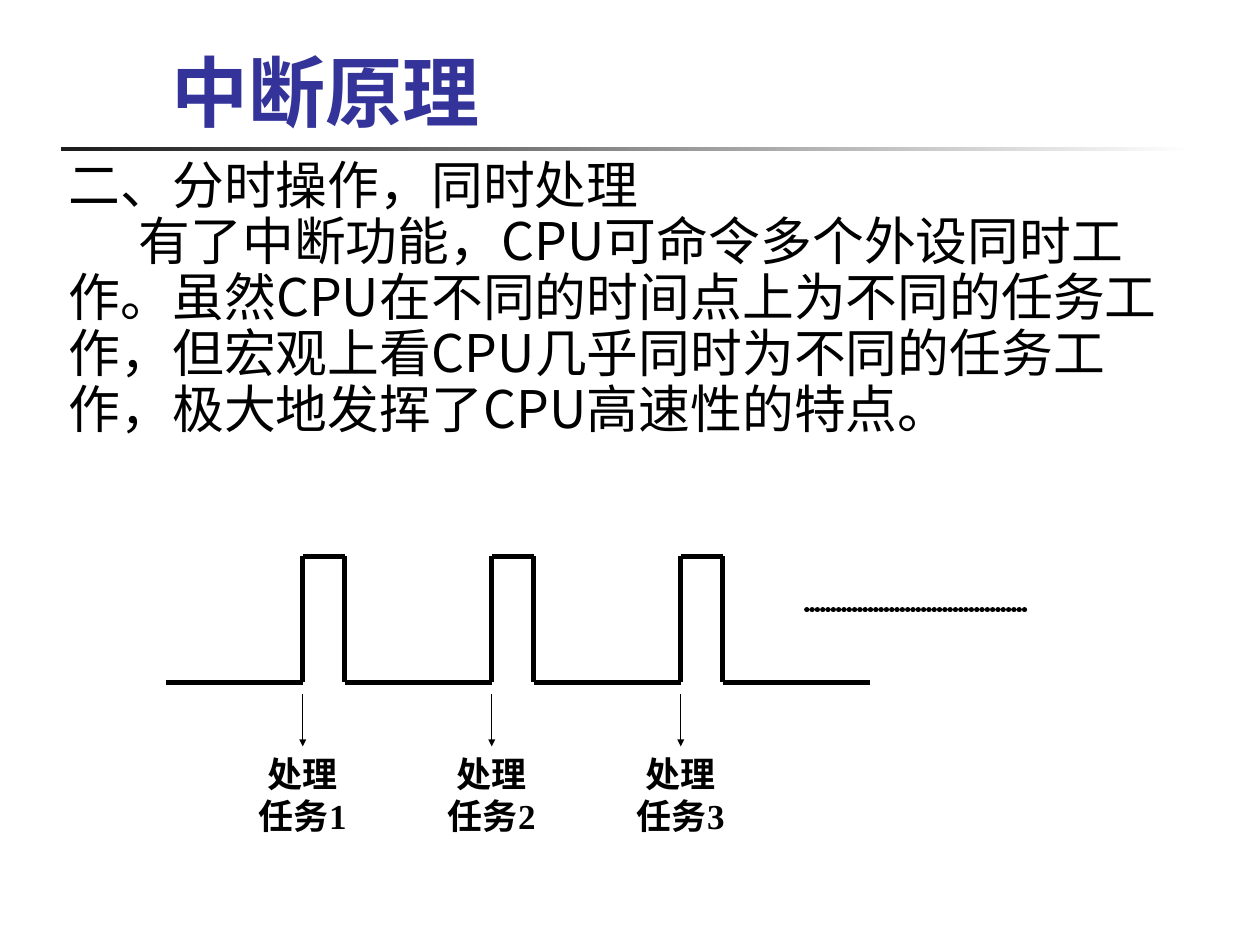
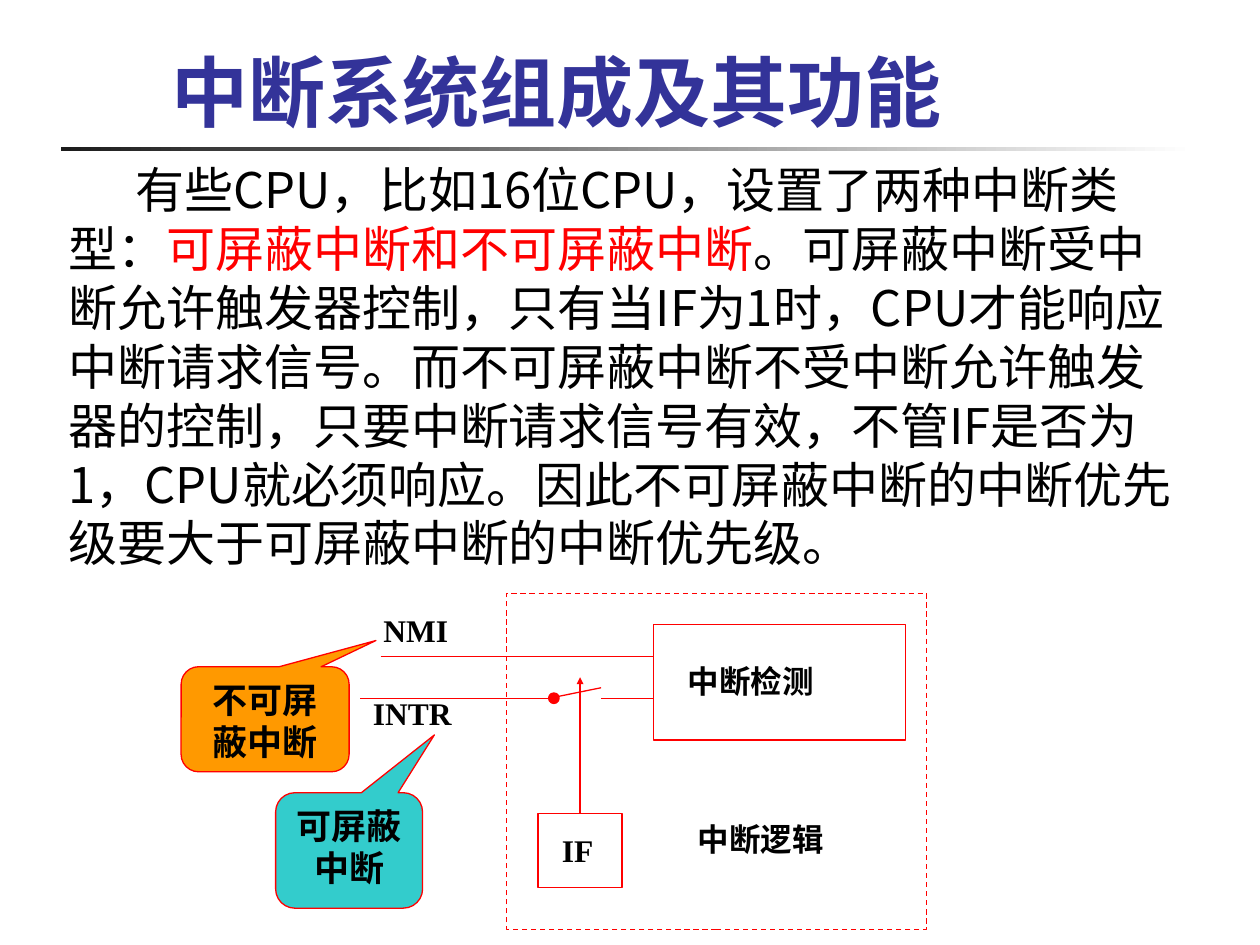
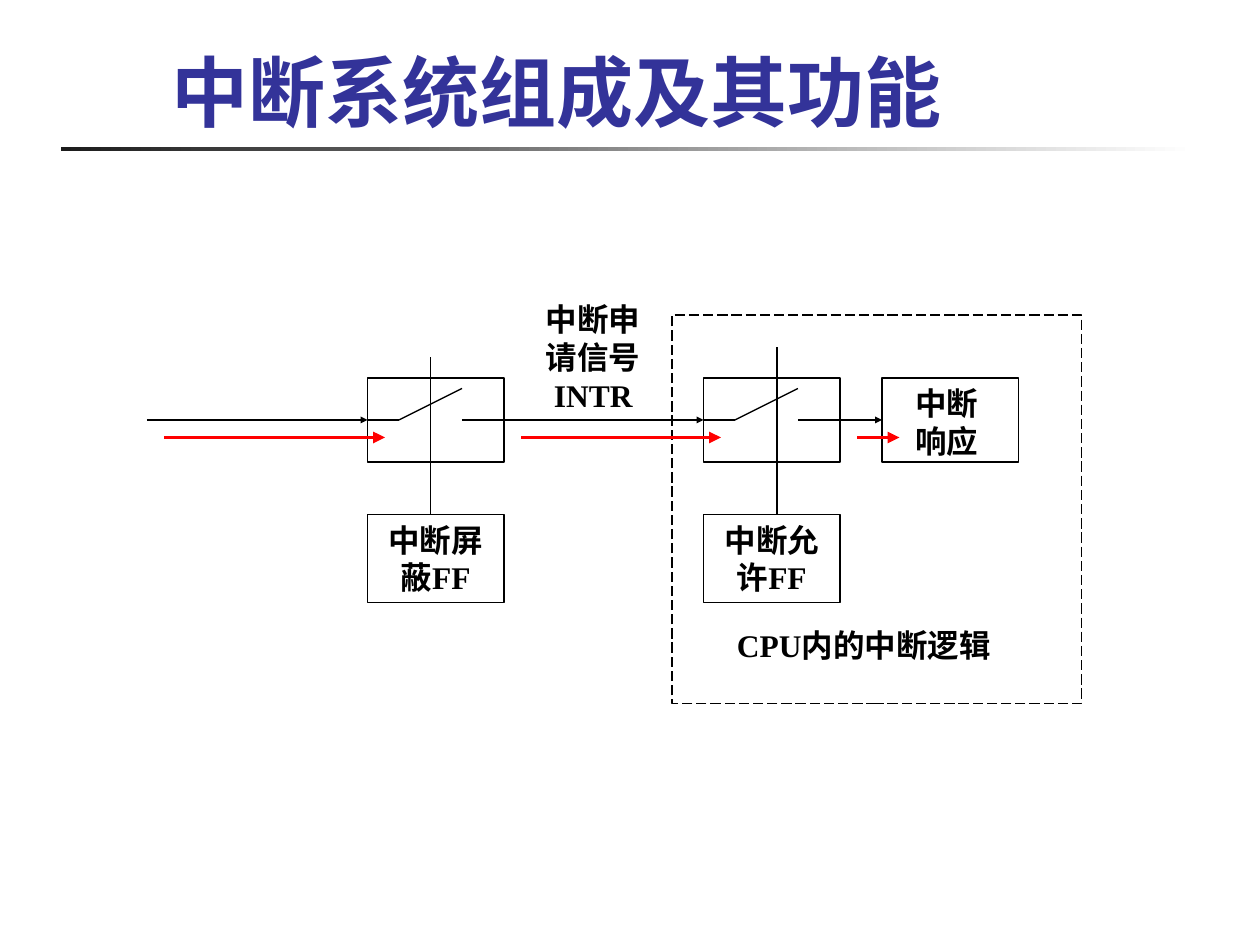
from dataclasses import dataclass
from itertools import pairwise

from lxml import etree
from pptx import Presentation
from pptx import util as u
from pptx.dml.color import RGBColor
from pptx.enum import dml, shapes, text
from pptx.oxml import ns

Pt = u.Pt
SHAPE = shapes.MSO_SHAPE
DASH = dml.MSO_LINE
ALIGN = text.PP_ALIGN


@dataclass(frozen=True)
class Theme:
    ink: str = "000000"
    accent: str = "FF0000"
    title: str = "333399"
    band_start: str = "1C1C1C"
    band_end: str = "FFFFFF"
    orange: str = "FF9900"
    teal: str = "33CCCC"
    heading_font: str = "Noto Sans CJK SC"
    label_font: str = "Times New Roman"
    title_size: float = 44
    list_size: float = 29.6
    body_size: float = 28
    task_size: float = 20
    label_size: float = 18
    thin: float = 0.75
    medium: float = 2.25
    thick: float = 3


THEME = Theme()


def rgb(value):
    return RGBColor.from_string(value)


def write(paragraph, content, *, size, font, color=THEME.ink, bold=False,
          align=ALIGN.LEFT, spacing=None, indent=None, highlight=None):
    """Fill a paragraph; the highlight phrase takes the accent colour."""
    if indent is not None:
        properties = paragraph._p.get_or_add_pPr()
        properties.set("marL", "0")
        properties.set("indent", str(Pt(indent)))
        properties.set("hangingPunct", "0")
        etree.SubElement(properties, ns.qn("a:buNone"))
    paragraph.alignment = align
    paragraph.space_before = Pt(0)
    if spacing is not None:
        paragraph.line_spacing = spacing
    pieces = content.partition(highlight) if highlight else [content]
    for piece in filter(None, pieces):
        run = paragraph.add_run()
        run.text = piece
        run.font.name = font
        run.font.size = Pt(size)
        run.font.bold = bold
        run.font.color.rgb = rgb(THEME.accent if piece == highlight else color)


class Deck:
    """Holds the theme and the slide being drawn."""

    def __init__(self, theme):
        self.theme = theme
        self.presentation = Presentation()
        self.presentation.slide_width = Pt(720)
        self.presentation.slide_height = Pt(540)
        self.slide = None

    def new_slide(self, title, has_body=False):
        layout = self.presentation.slide_layouts[1 if has_body else 5]
        self.slide = self.presentation.slides.add_slide(layout)
        band = self.shape(SHAPE.RECTANGLE, 35, 83.75, 648, 2.5, line=None)
        band.fill.gradient()
        band.fill.gradient_angle = 0
        for stop, color in zip(band.fill.gradient_stops,
                               (self.theme.band_start, self.theme.band_end)):
            stop.color.rgb = rgb(color)
        frame = self.place(self.slide.shapes.title, 91, 16, 551, 72)
        frame.vertical_anchor = text.MSO_ANCHOR.MIDDLE
        write(frame.paragraphs[0], title, size=self.theme.title_size,
              font=self.theme.heading_font, color=self.theme.title, bold=True)

    def place(self, shape, left, top, width, height):
        shape.left, shape.top = Pt(left), Pt(top)
        shape.width, shape.height = Pt(width), Pt(height)
        frame = shape.text_frame
        frame.word_wrap = True
        frame.auto_size = text.MSO_AUTO_SIZE.NONE
        return frame

    def body(self, entries, height, **style):
        """Fill the body placeholder with (text, first-line indent) entries."""
        frame = self.place(self.slide.placeholders[1], 32, 87.75, 656, height)
        for index, (content, indent) in enumerate(entries):
            paragraph = frame.add_paragraph() if index else frame.paragraphs[0]
            write(paragraph, content, indent=indent,
                  font=self.theme.heading_font, **style)

    def shape(self, kind, left, top, width, height, fill=None,
              line=THEME.ink, dash=None):
        shape = self.slide.shapes.add_shape(
            kind, Pt(left), Pt(top), Pt(width), Pt(height))
        shape.shadow.inherit = False
        if fill:
            shape.fill.solid()
            shape.fill.fore_color.rgb = rgb(fill)
        else:
            shape.fill.background()
        if line:
            shape.line.color.rgb = rgb(line)
            shape.line.width = Pt(self.theme.thin)
            shape.line.dash_style = dash
        else:
            shape.line.fill.background()
        return shape

    def caption(self, shape, content, size=THEME.label_size,
                align=ALIGN.CENTER):
        frame = shape.text_frame
        frame.word_wrap = True
        frame.vertical_anchor = text.MSO_ANCHOR.TOP
        write(frame.paragraphs[0], content, size=size, align=align,
              font=self.theme.label_font, bold=True)

    def label(self, content, left, top, width, height=29,
              size=THEME.label_size, align=ALIGN.LEFT):
        box = self.slide.shapes.add_textbox(
            Pt(left), Pt(top), Pt(width), Pt(height))
        self.caption(box, content, size, align)

    def callout(self, content, left, top, width, height, fill, tip):
        shape = self.shape(SHAPE.ROUNDED_RECTANGULAR_CALLOUT, left, top,
                           width, height, fill, self.theme.accent)
        shape.adjustments[0], shape.adjustments[1] = tip
        self.caption(shape, content, self.theme.task_size)

    def line(self, start, end, color=THEME.ink, width=THEME.thin,
             arrow=False, dotted=False):
        connector = self.slide.shapes.add_connector(
            shapes.MSO_CONNECTOR.STRAIGHT, *map(Pt, (*start, *end)))
        connector.line.color.rgb = rgb(color)
        connector.line.width = Pt(width)
        outline = connector.line._ln
        if dotted:
            outline.set("cap", "rnd")
            dashes = etree.SubElement(outline, ns.qn("a:custDash"))
            etree.SubElement(dashes, ns.qn("a:ds"), d="100000", sp="1000")
        if arrow:
            head = "sm" if width == self.theme.thin else "med"
            etree.SubElement(outline, ns.qn("a:tailEnd"), type="triangle",
                             w=head, len=head)
        etree.SubElement(connector._element.spPr, ns.qn("a:effectLst"))


def time_sharing_slide(deck):
    theme = deck.theme
    deck.new_slide("中断原理", has_body=True)
    deck.body([
        ("二、分时操作，同时处理", 0),
        ("有了中断功能，CPU可命令多个外设同时工作。虽然CPU在不同的时间点上"
         "为不同的任务工作，但宏观上看CPU几乎同时为不同的任务工作，"
         "极大地发挥了CPU高速性的特点。", 40),
    ], 207, size=theme.list_size, spacing=0.9)

    # Pulse train
    low, high, pulse = 390, 318, 24
    rises = [173 + 108 * step for step in range(3)]
    wave = [(95, low)]
    for x in rises:
        wave += [(x, low), (x, high), (x + pulse, high), (x + pulse, low)]
    wave.append((497, low))
    for start, end in pairwise(wave):
        deck.line(start, end, width=theme.thick)
    deck.line((461, 348.5), (587, 348.5), width=theme.thick, dotted=True)

    # Task under each pulse
    for number, x in enumerate(rises, 1):
        deck.line((x, 396.5), (x, 426.5), arrow=True)
        deck.label(f"处理任务{number}", x - 36, 426.5, 72, 55.5,
                   theme.task_size, ALIGN.CENTER)


def interrupt_types_slide(deck):
    theme = deck.theme
    red = theme.accent
    deck.new_slide("中断系统组成及其功能", has_body=True)
    deck.body([
        ("有些CPU，比如16位CPU，设置了两种中断类型：可屏蔽中断和不可屏蔽中断。"
         "可屏蔽中断受中断允许触发器控制，只有当IF为1时，CPU才能响应中断请求信号。"
         "而不可屏蔽中断不受中断允许触发器的控制，只要中断请求信号有效，"
         "不管IF是否为1，CPU就必须响应。"
         "因此不可屏蔽中断的中断优先级要大于可屏蔽中断的中断优先级。", 38),
    ], 246, size=theme.body_size, highlight="可屏蔽中断和不可屏蔽中断")

    # Interrupt logic, detector and flag
    deck.shape(SHAPE.RECTANGLE, 289.5, 339, 240, 192, line=red, dash=DASH.DASH)
    deck.shape(SHAPE.RECTANGLE, 373.5, 357, 144, 66, line=red)
    deck.shape(SHAPE.RECTANGLE, 307.5, 465, 48, 42, line=red)

    # Signal lines and switch
    for start, end in (((217.5, 375), (373.5, 375)),
                       ((206, 399), (314, 399)),
                       ((314, 399), (343.5, 393)),
                       ((343.5, 399), (373.5, 399))):
        deck.line(start, end, red)
    deck.line((331.5, 465), (331.5, 387), red, arrow=True)
    deck.shape(SHAPE.OVAL, 313.5, 396, 6, 6, red, red)

    # Names
    for content, left, top, width in (("中断检测", 386, 375, 132),
                                      ("IF", 314, 471.5, 42),
                                      ("中断逻辑", 391.5, 465, 126),
                                      ("INTR", 206, 393, 132),
                                      ("NMI", 212, 345.5, 84)):
        deck.label(content, left, top, width)
    deck.callout("不可屏蔽中断", 103.5, 381, 96, 60, theme.orange,
                 (0.66, -0.75))
    deck.callout("可屏蔽中断", 157.5, 453, 84, 66, theme.teal, (0.58, -1))


def interrupt_path_slide(deck):
    theme = deck.theme
    deck.new_slide("中断系统组成及其功能")
    signal, box_width = 240, 78

    # Switch boxes, each driven by its flip-flop
    for left, control, top, name in ((210, 246, 204, "中断屏蔽FF"),
                                     (402, 444, 198, "中断允许FF")):
        deck.shape(SHAPE.RECTANGLE, left, 216, box_width, 48)
        deck.line((left, signal), (left + 18, signal))
        deck.line((left + 18, signal), (left + 54, signal - 18))
        deck.line((left + 54, signal), (left + box_width, signal))
        flip_flop = deck.shape(SHAPE.RECTANGLE, left, 294, box_width, 50.5)
        deck.caption(flip_flop, name)
        deck.line((control, 294), (control, top))

    # Response box and the processor boundary
    deck.shape(SHAPE.RECTANGLE, 504, 216, box_width, 48)
    deck.shape(SHAPE.RECTANGLE, 384, 180, 234, 222, dash=DASH.LONG_DASH)

    # Signal path, with the flow in red below it
    for start, end in ((84, 210), (288, 402), (480, 504)):
        deck.line((start, signal), (end, signal), arrow=True)
        deck.line((start + 10, signal + 10), (end + 10, signal + 10),
                  theme.accent, theme.medium, arrow=True)

    # Names
    deck.label("中断响应", 516, 216, 66, 50.5)
    deck.label("CPU内的中断逻辑", 414, 354, 180)
    deck.label("中断申请信号INTR", 300, 168, 78, 72, align=ALIGN.CENTER)


def main():
    deck = Deck(THEME)
    time_sharing_slide(deck)
    interrupt_types_slide(deck)
    interrupt_path_slide(deck)
    deck.presentation.save("out.pptx")


if __name__ == "__main__":
    main()
